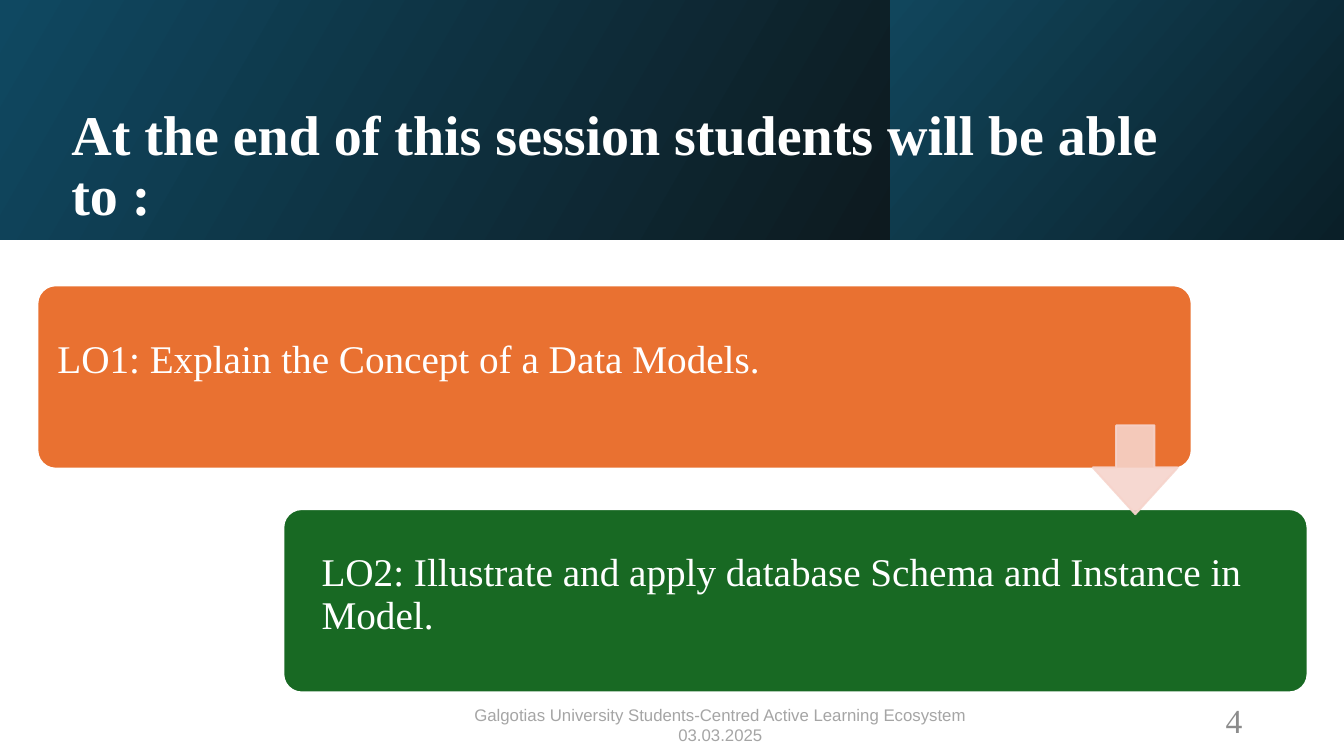
from lxml import etree
from pptx import Presentation
from pptx import util as u
from pptx.dml.color import RGBColor
from pptx.enum import shapes, text
from pptx.oxml import ns

COLOURS = {
    "white": "FFFFFF", "teal": "0F4861", "night": "0D1A1F",
    "lagoon": "11465C", "deep": "0A1F28", "orange": "E97131",
    "green": "186923", "blush": "F6D4CC", "number": "8C8C8C",
    "footer": "A5A5A5",
}
SERIF = "Times New Roman"


def rgb(name):
    return RGBColor.from_string(COLOURS[name])


def add_text(slide, box, lines, size, colour, font=SERIF, bold=False,
             align=text.PP_ALIGN.LEFT, anchor=text.MSO_ANCHOR.MIDDLE,
             spacing=1.0, insets=(0.1, 0.05, 0.1, 0.05)):
    frame = slide.shapes.add_textbox(*map(u.Inches, box)).text_frame
    frame.word_wrap = True
    frame.vertical_anchor = anchor
    (frame.margin_left, frame.margin_top,
     frame.margin_right, frame.margin_bottom) = map(u.Inches, insets)
    for index, line in enumerate(lines):
        paragraph = frame.paragraphs[0] if index == 0 else frame.add_paragraph()
        paragraph.alignment = align
        paragraph.line_spacing = spacing
        run = paragraph.add_run()
        run.text = line
        run.font.name = font
        run.font.size = u.Pt(size)
        run.font.bold = bold
        run.font.color.rgb = rgb(colour)


def add_block(slide, kind, box, adjustments=()):
    block = slide.shapes.add_shape(kind, *map(u.Inches, box))
    block.shadow.inherit = False
    for index, value in enumerate(adjustments):
        block.adjustments[index] = value
    return block


def paint(block, fill, line):
    block.fill.solid()
    block.fill.fore_color.rgb = rgb(fill)
    block.line.color.rgb = rgb(line)
    block.line.width = u.Pt(1.5)


def add_band(slide, box, start, end, angle):
    band = add_block(slide, shapes.MSO_SHAPE.RECTANGLE, box)
    band.line.fill.background()
    band.fill.gradient()
    band.fill.gradient_angle = angle
    for stop, colour in zip(band.fill.gradient_stops, (start, end)):
        stop.color.rgb = rgb(colour)


def add_header(slide, box):
    left, top, width, height = box
    split = 8.83
    add_band(slide, (left, top, split, height), "teal", "night", 330)
    add_band(slide, (left + split, top, width - split, height),
             "lagoon", "deep", 320)
    add_text(slide, (left + 0.61, top + 1.21, 11.53, 0.9),
             ["At the end of this session students will be able to :"],
             40, "white", bold=True, spacing=0.9)


def add_outcome(slide, box, outcome, fill, offset, text_width):
    left, top, _, _ = box
    card = add_block(slide, shapes.MSO_SHAPE.ROUNDED_RECTANGLE, box, [0.1])
    paint(card, fill, "white")
    add_text(slide, (left + offset[0], top + offset[1], text_width, 1.71),
             [outcome], 28, "white", spacing=0.9,
             insets=(0.16, 0.16, 0.16, 0.56))


def add_arrow(slide, box):
    arrow = add_block(slide, shapes.MSO_SHAPE.DOWN_ARROW, box, [0.45, 0.55])
    paint(arrow, "blush", "blush")
    for colour in arrow._element.spPr.iter(ns.qn("a:srgbClr")):
        etree.SubElement(colour, ns.qn("a:alpha")).set("val", "89000")


def add_outcomes(slide, box):
    left, top, width, _ = box
    add_outcome(slide, (left, top, 11.45, 1.82),
                "LO1: Explain the Concept of a Data Models.",
                "orange", (0.04, 0.09), 11.5)
    add_outcome(slide, (left + width - 10.16, top + 2.22, 10.16, 1.82),
                "LO2: Illustrate and apply database Schema and Instance in Model.",
                "green", (0.22, 0.2), 9.63)
    add_arrow(slide, (left + 10.47, top + 1.39, 0.84, 0.88))


def add_footer(slide, box):
    left, top, width, height = box
    add_text(slide, (left + 7.05, top, 3, 0.4), ["4"], 24, "number",
             align=text.PP_ALIGN.RIGHT)
    add_text(slide, (left, top, width, height),
             ["Galgotias University Students-Centred Active Learning Ecosystem",
              "03.03.2025"],
             12, "footer", font="Arial", align=text.PP_ALIGN.CENTER,
             anchor=text.MSO_ANCHOR.TOP)


def main():
    deck = Presentation()
    deck.slide_width, deck.slide_height = u.Inches(13.33), u.Inches(7.5)
    slide = deck.slides.add_slide(deck.slide_layouts[6])
    add_header(slide, (0, 0, 13.33, 2.38))
    add_outcomes(slide, (0.37, 2.83, 12.6, 4.04))
    add_footer(slide, (2.37, 6.94, 9.55, 0.5))
    deck.save("out.pptx")


if __name__ == "__main__":
    main()
